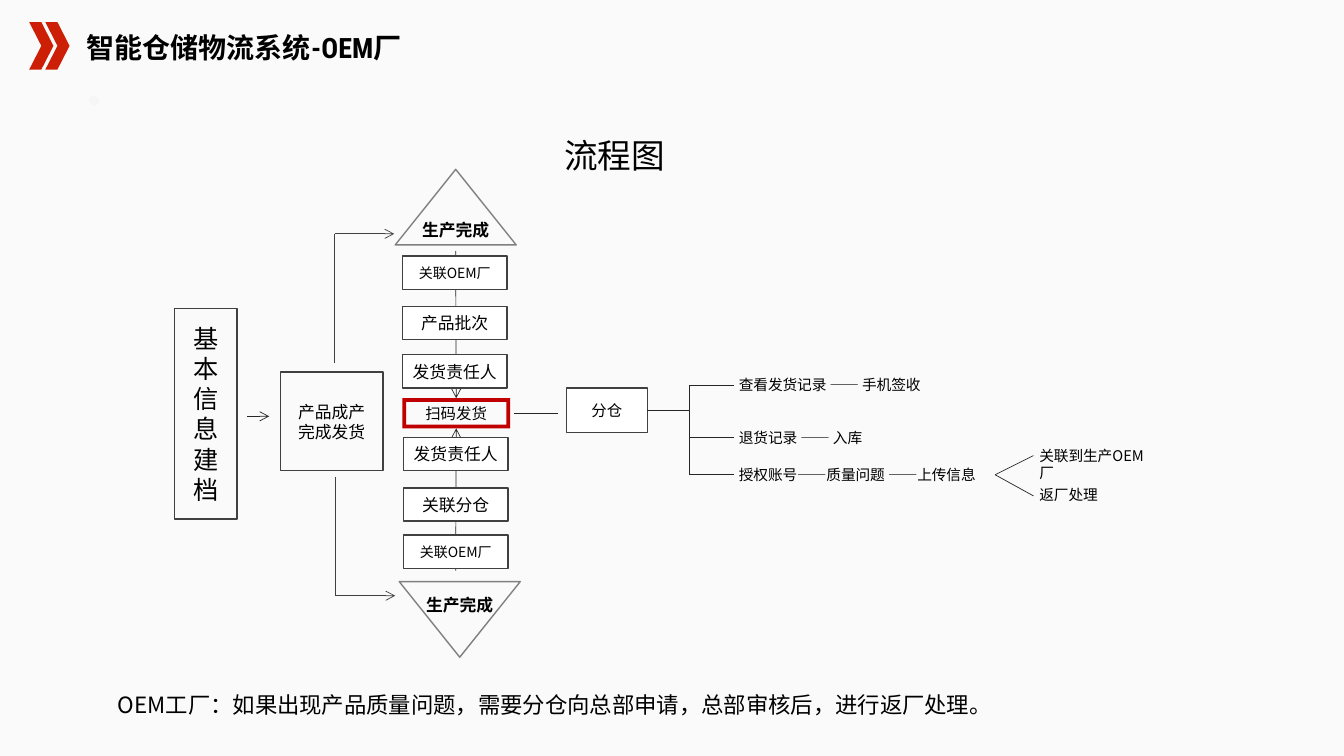
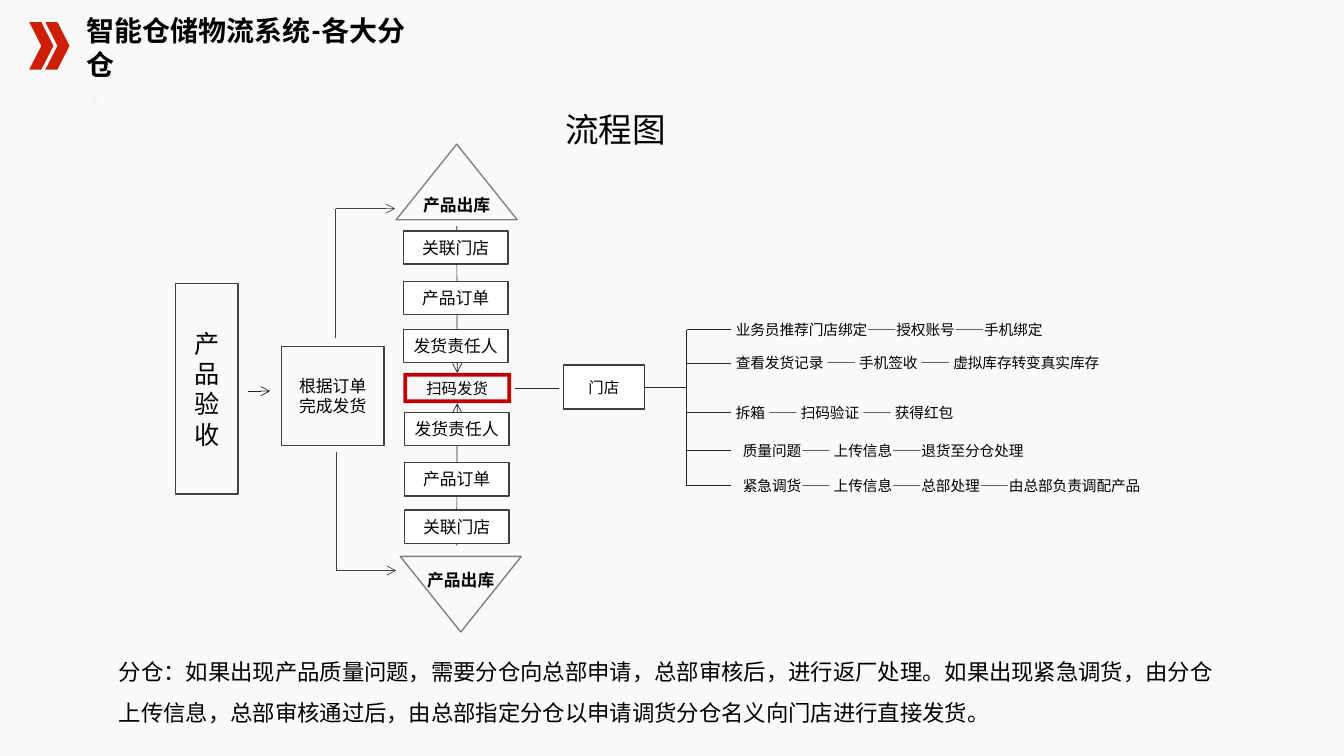
from lxml import etree
from pptx import Presentation
from pptx.dml.color import RGBColor
from pptx.enum.shapes import MSO_CONNECTOR, MSO_SHAPE
from pptx.enum.text import MSO_ANCHOR, PP_ALIGN
from pptx.oxml.ns import qn
from pptx.util import Inches, Pt

RECT, OVAL = MSO_SHAPE.RECTANGLE, MSO_SHAPE.OVAL
CHEVRON, FRAME = MSO_SHAPE.CHEVRON, MSO_SHAPE.FRAME
TRIANGLE = MSO_SHAPE.ISOSCELES_TRIANGLE
STRAIGHT = MSO_CONNECTOR.STRAIGHT
TOP, MIDDLE = MSO_ANCHOR.TOP, MSO_ANCHOR.MIDDLE
LEFT, CENTER = PP_ALIGN.LEFT, PP_ALIGN.CENTER

BODY, HEAD = "Noto Sans CJK SC", "Roboto Condensed"
BLACK, WHITE, RED, MARK = "000000", "FFFFFF", "C00000", "CD1F06"
DARK, EDGE, GREY, DOT = "262626", "404040", "808080", "F6F6F6"
PAGE = ("FAFAFA", "FCFCFC")


def paint(color, code):
    color.rgb = RGBColor.from_string(code)


def write(shape, text, size=12, font=BODY, bold=False, align=CENTER,
          anchor=MIDDLE, space=None, pad=None):
    frame = shape.text_frame
    frame.word_wrap = True
    frame.vertical_anchor = anchor
    if pad is not None:
        frame.margin_left = frame.margin_right = Inches(pad)
        frame.margin_top = frame.margin_bottom = Inches(pad)
    para = frame.paragraphs[0]
    para.alignment = align
    if space:
        para.line_spacing = space
    run = para.add_run()
    run.text = text
    run.font.size = Pt(size)
    run.font.bold = bold
    paint(run.font.color, BLACK)
    run.font.name = font
    props = run.font._element
    props.set("lang", "zh-CN")
    etree.SubElement(props, qn("a:ea")).set("typeface", font)


class Deck:
    """House style plus the slide being drawn; move() shifts what follows."""

    def __init__(self):
        self.prs = Presentation()
        self.prs.slide_width = Inches(13.33)
        self.prs.slide_height = Inches(7.5)
        self.move(0, 0)

    def move(self, dx, dy):
        self.dx, self.dy = dx, dy

    def spot(self, x, y):
        return Inches(x + self.dx), Inches(y + self.dy)

    def page(self, title):
        self.move(0, 0)
        self.slide = self.prs.slides.add_slide(self.prs.slide_layouts[6])
        fill = self.slide.background.fill
        fill.gradient()
        fill.gradient_angle = 270
        for stop, code in zip(fill.gradient_stops, PAGE):
            paint(stop.color, code)
        self.shape(OVAL, 0.88, 0.95, 0.1, 0.1, fill=DOT)
        for x in (0.29, 0.45):
            self.shape(CHEVRON, x, 0.22, 0.24, 0.47, fill=MARK)
        self.text(title, 0.86, 0.3, 3.44, 0.34, size=20, font=HEAD,
                  bold=True, align=LEFT, pad=0)

    def shape(self, kind, x, y, w, h, fill=None, line=None):
        item = self.slide.shapes.add_shape(
            kind, *self.spot(x, y), Inches(w), Inches(h))
        item.shadow.inherit = False
        if fill:
            item.fill.solid()
            paint(item.fill.fore_color, fill)
        else:
            item.fill.background()
        if line:
            paint(item.line.color, line)
            item.line.width = Pt(1)
        else:
            item.line.fill.background()
        return item

    def box(self, text, x, y, w, h, size=12, fill=None):
        item = self.shape(RECT, x, y, w, h, fill=fill, line=EDGE)
        write(item, text, size)
        return item

    def text(self, text, x, y, w, h, **style):
        item = self.slide.shapes.add_textbox(
            *self.spot(x, y), Inches(w), Inches(h))
        write(item, text, **style)

    def line(self, x1, y1, x2, y2, color=DARK, arrow=False):
        item = self.slide.shapes.add_connector(
            STRAIGHT, *self.spot(x1, y1), *self.spot(x2, y2))
        paint(item.line.color, color)
        item.line.width = Pt(0.5)
        if arrow:
            stroke = item.line._get_or_add_ln()
            etree.SubElement(stroke, qn("a:tailEnd")).set("type", "arrow")
        etree.SubElement(item._element.spPr, qn("a:effectLst"))
        return item

    def flow(self, start, order, goal, down, up):
        """Left half: start, order, and two chains that meet at the scan."""
        self.text("流程图", 4.36, 1.3, 3.47, 0.47, size=24)
        self.box(start, 1.73, 3.06, 0.62, 2.09, size=18)
        self.line(2.45, 4.13, 2.67, 4.13, arrow=True)
        self.box(order, 2.78, 3.69, 1.02, 0.98)
        for x, near, far in ((3.32, 3.6, 2.32), (3.33, 4.73, 5.91)):
            self.line(x, near, x, far, color=EDGE)
            self.line(x, far, x + 0.59, far, color=EDGE, arrow=True)

        scan = self.shape(FRAME, 3.99, 3.95, 1.07, 0.3, fill=RED)
        write(scan, "扫码发货", 11)
        self.line(5.1, 4.1, 5.53, 4.1)
        chains = ((3.92, 1.68, 0, 2.13, 2.49, 0, 3.99, (2.54, 3.04, 3.52), down),
                  (3.96, 5.77, 180, 5.85, 5.66, 2, 4.0, (4.34, 4.84, 5.31), up))
        for x, y, turn, label, tail, side, left, tops, steps in chains:
            peak = self.shape(TRIANGLE, x, y, 1.2, 0.75, line=GREY)
            peak.rotation = turn
            self.text(goal, x, label, 1.2, 0.3, bold=True)
            self.line(4.52, tail, 4.52, 4.1, arrow=True).end_connect(scan, side)
            for top, step in zip(tops, steps):
                self.box(step, left, top, 1.04, 0.33, fill=WHITE,
                         size=10 if "OEM" in step else 12)

    def tree(self, name, x, y, rows):
        """Right half: a hub whose rows are (y, text, indent)."""
        hub = self.box(name, x, y, 0.8, 0.44, size=11, fill=WHITE)
        spine, mid = x + 1.22, y + 0.22
        self.line(x + 0.8, mid, spine, mid).begin_connect(hub, 3)
        self.line(spine, rows[0][0], spine, rows[-1][0])
        for row, text, indent in rows:
            self.line(spine, row, spine + 0.44, row)
            self.text(text, spine + 0.39 + indent, row - 0.14, 4.8, 0.28,
                      size=10.5, align=LEFT)

    def note(self, text, x, y, h):
        self.text(text, x, y, 11.19, h, size=16, align=LEFT, anchor=TOP,
                  space=1.5)


def main():
    deck = Deck()

    deck.page("智能仓储物流系统-OEM厂")
    deck.flow("基本信息建档", "产品成产完成发货", "生产完成",
              ("关联OEM厂", "产品批次", "发货责任人"),
              ("发货责任人", "关联分仓", "关联OEM厂"))
    deck.tree("分仓", 5.62, 3.85, (
        (3.82, "查看发货记录 —— 手机签收", 0),
        (4.34, "退货记录 —— 入库", 0),
        (4.71, "授权账号——质量问题 ——上传信息", 0)))
    for text, top, end in (("关联到生产OEM厂", 4.38, 4.52),
                           ("返厂处理", 4.77, 4.92)):
        deck.line(9.87, 4.71, 10.25, end)
        deck.text(text, 10.21, top, 1.35, 0.28, size=10.5, align=LEFT,
                  anchor=TOP)
    deck.note("OEM工厂：如果出现产品质量问题，需要分仓向总部申请，"
              "总部审核后，进行返厂处理。", 1.07, 6.67, 0.5)

    deck.page("智能仓储物流系统-各大分仓")
    deck.move(0.01, -0.25)
    deck.flow("产品验收", "根据订单完成发货", "产品出库",
              ("关联门店", "产品订单", "发货责任人"),
              ("发货责任人", "产品订单", "关联门店"))
    deck.move(0, 0)
    deck.tree("门店", 5.59, 3.62, (
        (3.27, "业务员推荐门店绑定——授权账号——手机绑定", 0),
        (3.6, "查看发货记录 —— 手机签收 —— 虚拟库存转变真实库存", 0),
        (4.09, "拆箱 —— 扫码验证 —— 获得红包", 0),
        (4.47, "质量问题—— 上传信息——退货至分仓处理", 0.07),
        (4.82, "紧急调货—— 上传信息——总部处理——由总部负责调配产品", 0.07)))
    deck.note("分仓：如果出现产品质量问题，需要分仓向总部申请，总部审核后，"
              "进行返厂处理。如果出现紧急调货，由分仓上传信息，总部审核通过后，"
              "由总部指定分仓以申请调货分仓名义向门店进行直接发货。",
              1.08, 6.35, 0.91)

    deck.prs.save("out.pptx")


if __name__ == "__main__":
    main()
